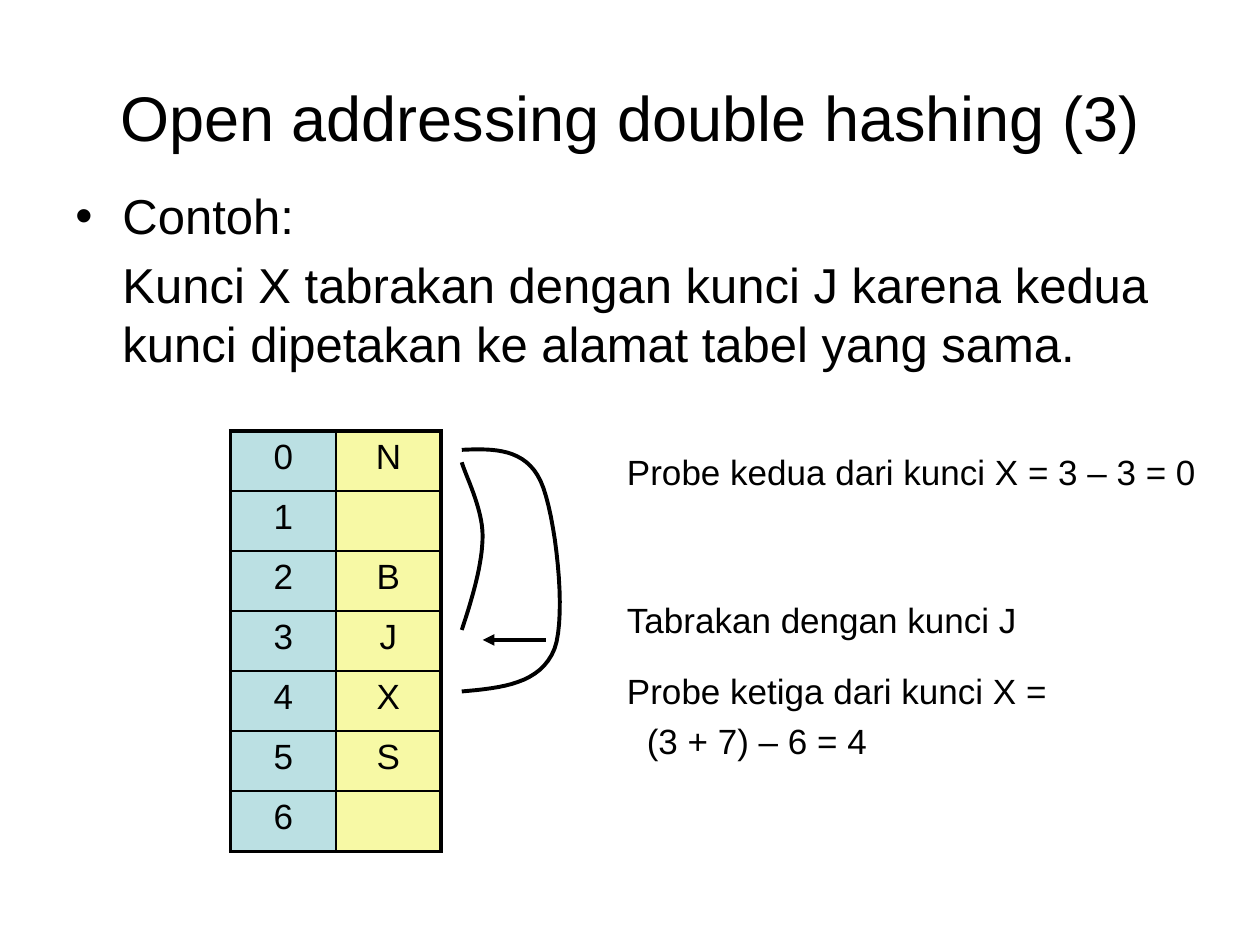
from lxml.etree import SubElement
from pptx import Presentation
from pptx.dml.color import RGBColor
from pptx.enum.shapes import MSO_CONNECTOR
from pptx.enum.text import MSO_ANCHOR, PP_ALIGN
from pptx.oxml.ns import qn
from pptx.util import Cm, Pt

COLORS = {"ink": "000000", "index": "BBE0E3", "key": "F7F9A5"}
INK = RGBColor.from_string(COLORS["ink"])


def format_text(paragraph, size):
    paragraph.font.name = "Arial"
    paragraph.font.size = Pt(size)
    paragraph.font.color.rgb = INK


def add_text_box(slide, left, top, width, height):
    shape = slide.shapes.add_textbox(Cm(left), Cm(top), Cm(width), Cm(height))
    text_frame = shape.text_frame
    text_frame.word_wrap = True
    text_frame.margin_left = text_frame.margin_right = 0
    text_frame.margin_top = text_frame.margin_bottom = 0
    return text_frame


presentation = Presentation()
presentation.slide_width = Cm(25.4)
presentation.slide_height = Cm(19.05)
slide = presentation.slides.add_slide(presentation.slide_layouts[5])

title = slide.shapes.title
title.left, title.top, title.width, title.height = Cm(1.27), Cm(0.76), Cm(22.86), Cm(3.18)
title.text_frame.text = "Open addressing double hashing (3)"
title.text_frame.vertical_anchor = MSO_ANCHOR.MIDDLE
title.text_frame.paragraphs[0].alignment = PP_ALIGN.CENTER
format_text(title.text_frame.paragraphs[0], 36)

body = add_text_box(slide, 1.52, 3.75, 22.78, 4.2)
body.text = (
    "Contoh:\n"
    "Kunci X tabrakan dengan kunci J karena kedua kunci dipetakan ke alamat tabel yang sama."
)
for paragraph, bullet in zip(body.paragraphs, (True, False)):
    properties = paragraph._p.get_or_add_pPr()
    properties.set("marL", str(Cm(0.95)))
    properties.set("indent", str(Cm(-0.95) if bullet else 0))
    if bullet:
        SubElement(properties, qn("a:buFont"), typeface="Arial")
        SubElement(properties, qn("a:buChar"), char="•")
    else:
        SubElement(properties, qn("a:buNone"))
        paragraph.space_before = Pt(5.6)
    format_text(paragraph, 28)

probes = add_text_box(slide, 12.64, 9.08, 12.2, 6.4)
probe_lines = [
    ("Probe kedua dari kunci X = 3 – 3 = 0", 0, 0),
    ("Tabrakan dengan kunci J", 60.5, 0),
    ("Probe ketiga dari kunci X =", 16.5, 0),
    ("(3 + 7) – 6 = 4", 5, 0.4),
]
probes.text = "\n".join(text for text, space, indent in probe_lines)
for paragraph, (text, space, indent) in zip(probes.paragraphs, probe_lines):
    paragraph.space_before = Pt(space)
    paragraph._p.get_or_add_pPr().set("marL", str(Cm(indent)))
    format_text(paragraph, 20)

keys = ["N", "", "B", "J", "X", "S", ""]
row_height, column_width = 1.21, 2.12
table = slide.shapes.add_table(
    len(keys), 2, Cm(4.65), Cm(8.69), Cm(2 * column_width), Cm(len(keys) * row_height)
).table
table.first_row = table.horz_banding = False
for column in table.columns:
    column.width = Cm(column_width)
for row_number, key in enumerate(keys):
    table.rows[row_number].height = Cm(row_height)
    for column_number, (text, color) in enumerate([(str(row_number), "index"), (key, "key")]):
        cell = table.cell(row_number, column_number)
        cell.text_frame.text = text
        cell.text_frame.paragraphs[0].alignment = PP_ALIGN.CENTER
        format_text(cell.text_frame.paragraphs[0], 20)
        outer_edges = {
            "L": column_number == 0,
            "R": column_number == 1,
            "T": row_number == 0,
            "B": row_number == len(keys) - 1,
        }
        for side, is_outer in outer_edges.items():
            border = SubElement(
                cell._tc.get_or_add_tcPr(), qn(f"a:ln{side}"), w=str(Pt(2.25 if is_outer else 1))
            )
            border_fill = SubElement(border, qn("a:solidFill"))
            SubElement(border_fill, qn("a:srgbClr"), val=COLORS["ink"])
        cell.fill.solid()
        cell.fill.fore_color.rgb = RGBColor.from_string(COLORS[color])

arrow = slide.shapes.add_connector(MSO_CONNECTOR.STRAIGHT, Cm(11), Cm(12.9), Cm(9.73), Cm(12.9))
arrow.line.color.rgb = INK
arrow.line.width = Pt(2.25)
SubElement(arrow.line._get_or_add_ln(), qn("a:tailEnd"), type="triangle")
SubElement(arrow._element.spPr, qn("a:effectLst"))

second_probe = [
    (9.31, 12.7), (9.53, 12.04), (9.73, 11.35), (9.73, 10.8),
    (9.73, 10.24), (9.37, 9.55), (9.31, 9.32),
]
third_probe = [
    (9.31, 9.07), (9.96, 9.04), (10.59, 9.04), (10.9, 9.7), (11.2, 10.36),
    (11.43, 12.4), (11.18, 13.08), (10.9, 13.79), (10.11, 13.87), (9.31, 13.94),
]
steps = 16
for controls in (second_probe, third_probe):
    points = []
    for first in range(0, len(controls) - 1, 3):
        for step in range(1, steps + 1):
            t = step / steps
            weights = ((1 - t) ** 3, 3 * t * (1 - t) ** 2, 3 * t**2 * (1 - t), t**3)
            segment = list(zip(weights, controls[first:first + 4]))
            x = sum(weight * point[0] for weight, point in segment)
            y = sum(weight * point[1] for weight, point in segment)
            points.append((Cm(x), Cm(y)))
    builder = slide.shapes.build_freeform(Cm(controls[0][0]), Cm(controls[0][1]))
    builder.add_line_segments(points, close=False)
    curve = builder.convert_to_shape()
    curve.shadow.inherit = False
    curve.fill.background()
    curve.line.color.rgb = INK
    curve.line.width = Pt(2.25)

presentation.save("out.pptx")
